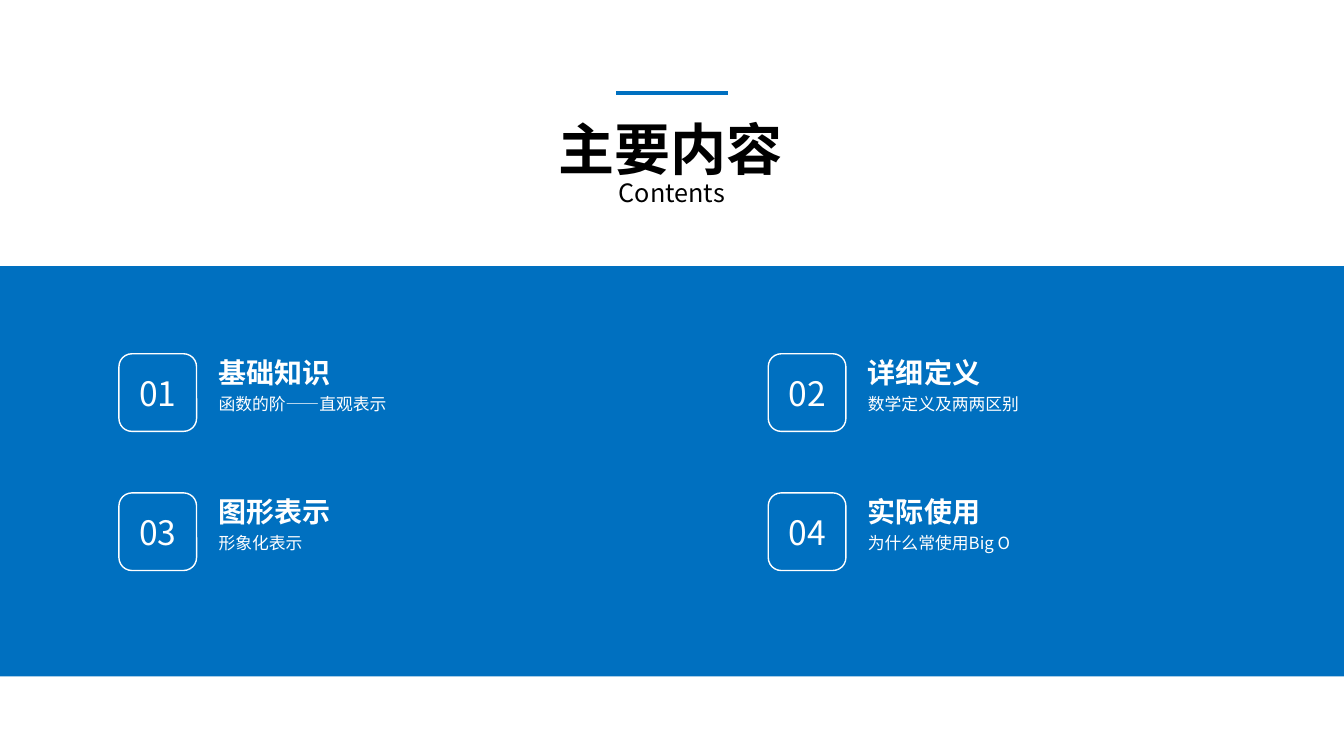
from dataclasses import dataclass

from lxml import etree
from pptx import Presentation
from pptx.dml.color import RGBColor
from pptx.enum import shapes, text
from pptx.oxml import ns
from pptx.util import Inches, Pt

BLUE = RGBColor(0x00, 0x70, 0xC0)
WHITE = RGBColor(0xFF, 0xFF, 0xFF)
BLACK = RGBColor(0x00, 0x00, 0x00)
CJK_FONT = "Noto Sans CJK SC"
LEFT, TOP = 1.18, 3.51
COLUMN_STEP, ROW_STEP = 6.44, 1.38


@dataclass(frozen=True)
class Box:
    left: float
    top: float
    width: float
    height: float

    def lengths(self) -> tuple:
        return tuple(Inches(v) for v in (self.left, self.top, self.width, self.height))


@dataclass(frozen=True)
class Style:
    size: int
    color: RGBColor
    bold: bool = False
    centered: bool = False
    wrap: bool = True
    font: str = CJK_FONT


@dataclass(frozen=True)
class Topic:
    title: str
    detail: str


HEADING = Style(40, BLACK, bold=True, wrap=False, font="Calibri")
SUBHEADING = Style(18, BLACK, centered=True)
NUMBER = Style(24, WHITE, centered=True)
TOPIC_TITLE = Style(20, WHITE, bold=True, wrap=False)
TOPIC_DETAIL = Style(12, WHITE)

TOPICS = [
    Topic("基础知识", "函数的阶——直观表示"),
    Topic("详细定义", "数学定义及两两区别"),
    Topic("图形表示", "形象化表示"),
    Topic("实际使用", "为什么常使用Big O"),
]


def write(shape, content: str, style: Style) -> None:
    tf = shape.text_frame
    tf.text = content
    tf.word_wrap = style.wrap
    p = tf.paragraphs[0]
    p.alignment = text.PP_ALIGN.CENTER if style.centered else text.PP_ALIGN.LEFT
    r = p.runs[0]
    r.font.size = Pt(style.size)
    r.font.bold = style.bold
    r.font.color.rgb = style.color
    r.font.name = style.font
    etree.SubElement(r.font._element, ns.qn("a:ea"), typeface=CJK_FONT)


def add_label(parent, box: Box, content: str, style: Style) -> None:
    label = parent.add_textbox(*box.lengths())
    write(label, content, style)
    label.text_frame.auto_size = text.MSO_AUTO_SIZE.SHAPE_TO_FIT_TEXT


def add_band(parent, box: Box) -> None:
    band = parent.add_shape(shapes.MSO_SHAPE.RECTANGLE, *box.lengths())
    band.shadow.inherit = False
    band.fill.solid()
    band.fill.fore_color.rgb = BLUE
    band.line.fill.background()


def add_accent(parent, start: float, end: float, y: float) -> None:
    accent = parent.add_connector(
        shapes.MSO_CONNECTOR.STRAIGHT, Inches(start), Inches(y), Inches(end), Inches(y)
    )
    accent.line.color.rgb = BLUE
    accent.line.width = Pt(3)
    etree.SubElement(accent._element.spPr, ns.qn("a:effectLst"))


def add_topic(parent, index: int, topic: Topic) -> None:
    row, column = divmod(index, 2)
    left = LEFT + column * COLUMN_STEP
    top = TOP + row * ROW_STEP
    group = parent.add_group_shape().shapes
    badge = group.add_shape(
        shapes.MSO_SHAPE.ROUNDED_RECTANGLE, *Box(left, top, 0.77, 0.77).lengths()
    )
    badge.shadow.inherit = False
    badge.fill.background()
    badge.line.color.rgb = WHITE
    badge.line.width = Pt(1)
    write(badge, f"{index + 1:02d}", NUMBER)
    badge.text_frame.vertical_anchor = text.MSO_ANCHOR.MIDDLE
    add_label(group, Box(left + 0.89, top - 0.03, 1.32, 0.44), topic.title, TOPIC_TITLE)
    add_label(group, Box(left + 0.89, top + 0.35, 3.76, 0.3), topic.detail, TOPIC_DETAIL)


def main() -> None:
    prs = Presentation()
    prs.slide_width, prs.slide_height = Inches(13.33), Inches(7.5)
    s = prs.slides.add_slide(prs.slide_layouts[6])
    add_band(s.shapes, Box(0, 2.64, 13.33, 4.07))
    add_label(s.shapes, Box(5.44, 1.09, 2.45, 0.77), "主要内容", HEADING)
    add_accent(s.shapes, 6.11, 7.22, 0.92)
    add_label(s.shapes, Box(3.63, 1.71, 6.07, 0.4), "Contents", SUBHEADING)
    for index, topic in enumerate(TOPICS):
        add_topic(s.shapes, index, topic)
    prs.save("out.pptx")


if __name__ == "__main__":
    main()
